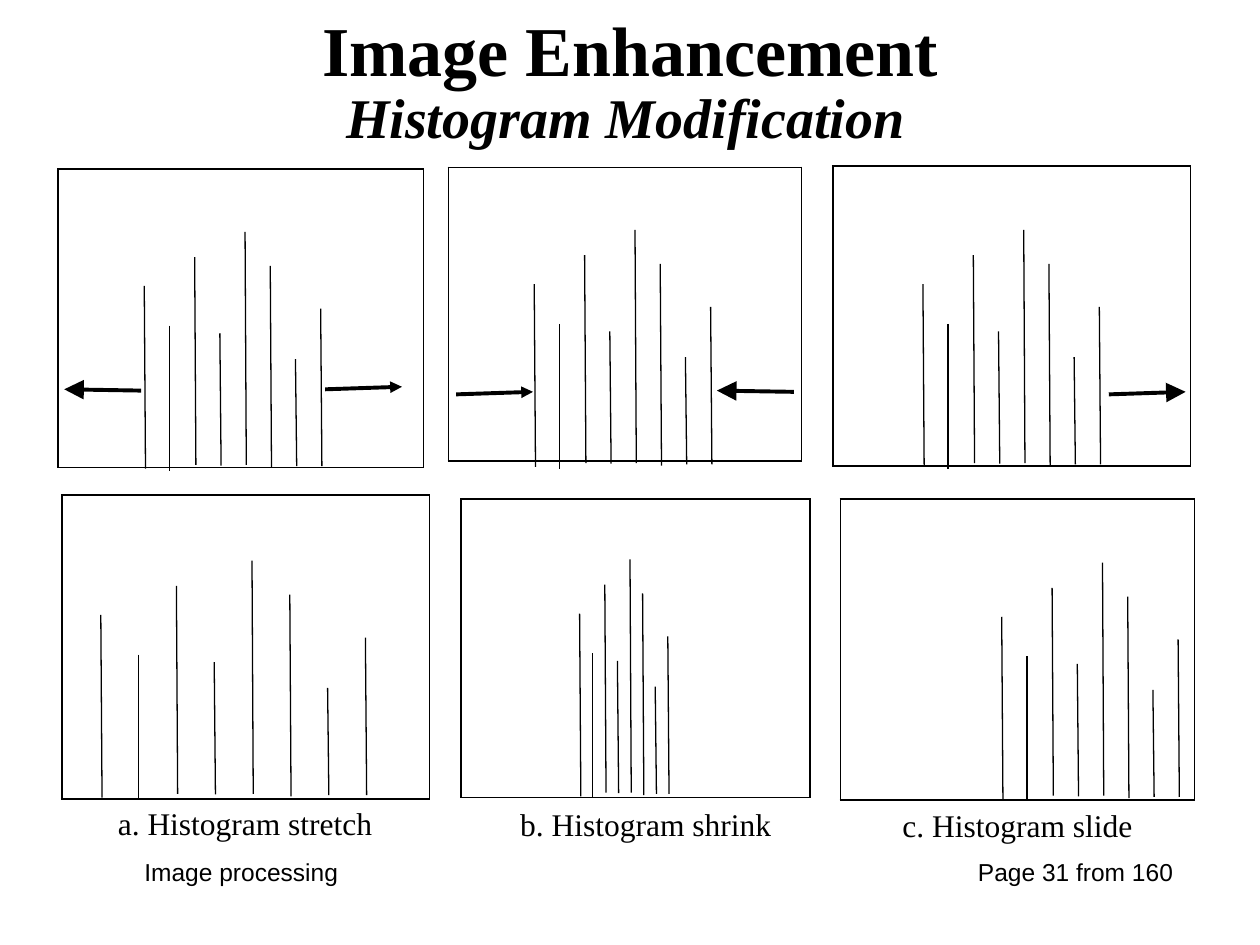
from typing import Any, NamedTuple

from lxml.etree import SubElement as Sub
from pptx import Presentation
from pptx.dml.color import RGBColor
from pptx.enum.shapes import MSO_CONNECTOR as Conn
from pptx.enum.text import MSO_ANCHOR as Anchor, PP_ALIGN as Align
from pptx.oxml.ns import qn
from pptx.util import Inches, Pt

INK = RGBColor(0, 0, 0)
WIDE, HIGH = Inches(10), Inches(7.5)
COLS, ROWS = 1000, 750
SERIF, SANS = "Times New Roman", "Arial"


class Box(NamedTuple):
    left: float
    top: float
    width: float
    height: float


class Label(NamedTuple):
    text: str
    box: Box
    font: dict[str, Any]
    align: Align = Align.CENTER
    anchor: Anchor = Anchor.TOP


class Bar(NamedTuple):
    drop: float
    length: float
    lean: float = 1


class Plot(NamedTuple):
    frame: Box
    left: float
    top: float
    step: float


class Arrow(NamedTuple):
    start: tuple[float, float]
    end: tuple[float, float]
    head: str


TITLE = {"size": Pt(40), "name": SERIF, "bold": True}
SUB = {"size": Pt(32), "name": SERIF, "bold": True, "italic": True}
NOTE = {"size": Pt(18), "name": SERIF}
FOOT = {"size": Pt(14), "name": SANS}

LABELS = [
    Label("Page 31 from 160", Box(708, 675, 233, 52), FOOT, Align.RIGHT),
    Label("Image processing", Box(33, 675, 317, 52), FOOT),
    Label("Image Enhancement", Box(50, -24, 900, 125), TITLE, anchor=Anchor.MIDDLE),
    Label("Histogram Modification", Box(197, 61, 599, 64), SUB),
    Label("a. Histogram stretch", Box(52, 633, 285, 40), NOTE),
    Label("b. Histogram shrink", Box(370, 634, 285, 40), NOTE),
    Label("c. Histogram slide", Box(665, 635, 285, 40), NOTE),
]
BARS = [
    Bar(0, 145), Bar(31.5, 115, 0), Bar(-23, 165), Bar(37.5, 105),
    Bar(-43, 185), Bar(-16, 160), Bar(58, 85), Bar(18, 125),
]
PLOTS = [
    Plot(Box(46, 134, 290, 237), 114.5, 227, 20),
    Plot(Box(356, 133, 280, 233), 424, 225.5, 20),
    Plot(Box(661, 132, 284, 238), 732.5, 225.5, 20),
    Plot(Box(49, 393, 292, 241), 80, 488, 30),
    Plot(Box(366, 396, 277, 237), 460, 487, 10),
    Plot(Box(667, 396, 281, 239), 795, 489.5, 20),
]
ARROWS = [
    Arrow((258, 309), (319, 307), "med"),
    Arrow((112, 310), (51, 309), "lg"),
    Arrow((630, 311), (569, 310), "lg"),
    Arrow((362, 313), (423, 311), "med"),
    Arrow((880, 313), (941, 311), "lg"),
]


def across(col: float) -> int:
    return round(WIDE * col / COLS)


def down(row: float) -> int:
    return round(HIGH * row / ROWS)


def place(box: Box) -> tuple[int, int, int, int]:
    return across(box.left), down(box.top), across(box.width), down(box.height)


def write(shapes: Any, label: Label) -> None:
    frame = shapes.add_textbox(*place(label.box)).text_frame
    frame.word_wrap = True
    frame.vertical_anchor = label.anchor
    para = frame.paragraphs[0]
    para.alignment = label.align
    run = para.add_run()
    run.text = label.text
    for key, value in label.font.items():
        setattr(run.font, key, value)
    run.font.color.rgb = INK


def enclose(shapes: Any, box: Box) -> None:
    table = shapes.add_table(1, 1, *place(box)).table
    table.first_row = table.horz_banding = False
    cell = table.cell(0, 0)
    props = cell._tc.get_or_add_tcPr()
    for side in "LRTB":
        edge = Sub(props, qn(f"a:ln{side}"), w=str(Pt(1.08)))
        Sub(Sub(edge, qn("a:solidFill")), qn("a:srgbClr"), val=str(INK))
    cell.fill.background()


def draw(shapes: Any, start: tuple[float, float], end: tuple[float, float],
         width: float, head: str = "") -> None:
    line = shapes.add_connector(
        Conn.STRAIGHT, across(start[0]), down(start[1]), across(end[0]), down(end[1])
    )
    line.line.color.rgb = INK
    line.line.width = Pt(width)
    if head:
        Sub(line.line._get_or_add_ln(), qn("a:tailEnd"), type="triangle", w=head, len=head)
    Sub(line._element.spPr, qn("a:effectLst"))


def plot(shapes: Any, item: Plot) -> None:
    group = shapes.add_group_shape().shapes
    for i, bar in enumerate(BARS):
        x, y = item.left + i * item.step, item.top + bar.drop
        draw(group, (x, y), (x + bar.lean, y + bar.length), 0.75)


def main() -> None:
    deck = Presentation()
    deck.slide_width, deck.slide_height = WIDE, HIGH
    shapes = deck.slides.add_slide(deck.slide_layouts[6]).shapes
    for item in PLOTS:
        enclose(shapes, item.frame)
    for item in PLOTS:
        plot(shapes, item)
    for arrow in ARROWS:
        draw(shapes, arrow.start, arrow.end, 2.25, arrow.head)
    for label in LABELS:
        write(shapes, label)
    deck.save("out.pptx")


if __name__ == "__main__":
    main()
